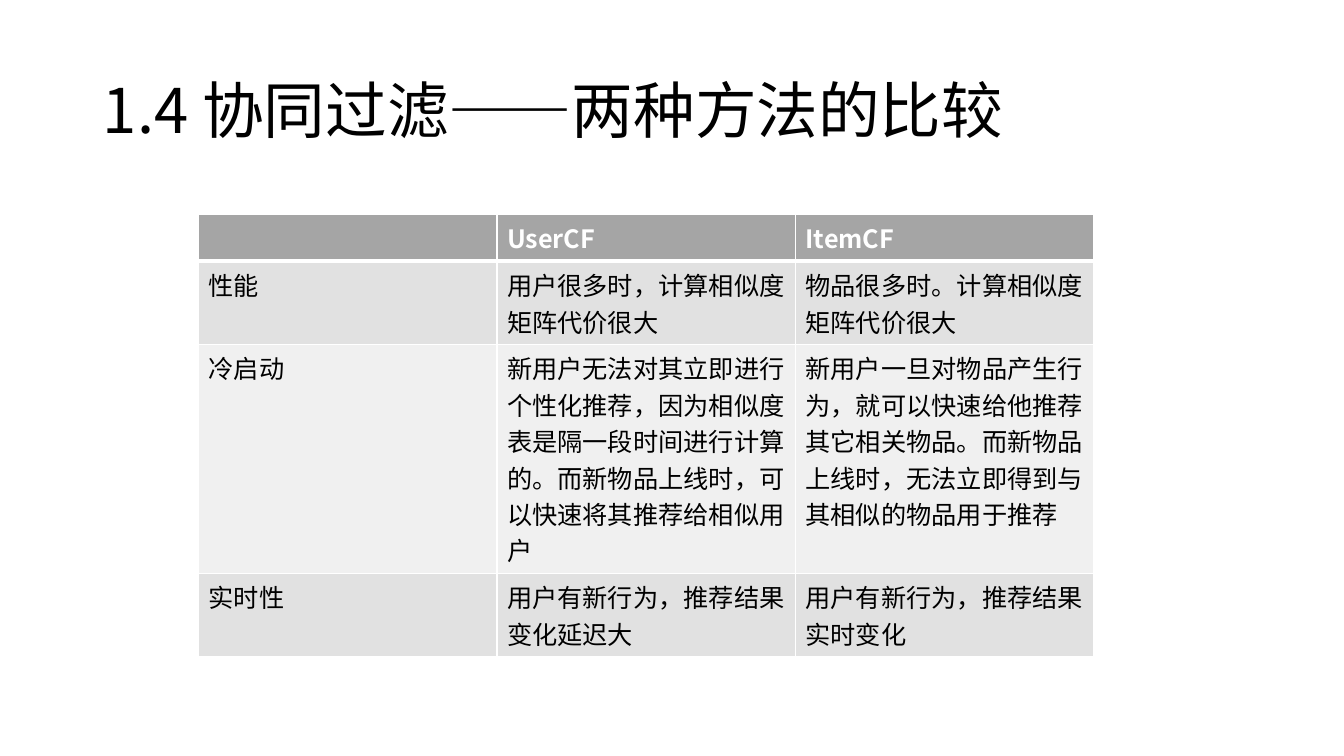
from dataclasses import dataclass

from lxml import etree
from pptx import Presentation
from pptx.dml.color import RGBColor
from pptx.enum.text import MSO_ANCHOR, PP_ALIGN
from pptx.oxml.ns import qn
from pptx.util import Pt

LEFT, MIDDLE = PP_ALIGN.LEFT, MSO_ANCHOR.MIDDLE
EMU_PER_PX = 9144  # 100 px to the inch
TITLE_ONLY = 5


@dataclass(frozen=True)
class Theme:
    font: str = "Noto Sans CJK SC"
    title_size: int = 44
    table_size: int = 18
    text: str = "000000"
    header_text: str = "FFFFFF"
    header_fill: str = "A5A5A5"
    bands: tuple = ("E1E1E1", "F0F0F0")
    border: str = "FFFFFF"
    border_width: int = 1
    header_rule: int = 3


def px(n):
    return n * EMU_PER_PX


class Deck:
    def __init__(self, theme, width, height):
        self.theme = theme
        self.prs = Presentation()
        self.prs.slide_width, self.prs.slide_height = px(width), px(height)
        self.s = self.prs.slides.add_slide(self.prs.slide_layouts[TITLE_ONLY])

    def style(self, p, size, color, bold=False):
        p.alignment = LEFT
        for r in p.runs:
            r.font.name = self.theme.font
            r.font.size, r.font.bold = Pt(size), bold
            r.font.color.rgb = RGBColor.from_string(color)
            ea = etree.SubElement(r.font._element, qn("a:ea"))
            ea.set("typeface", self.theme.font)

    def title(self, text, x, y, w, h):
        sp = self.s.shapes.title
        sp.left, sp.top, sp.width, sp.height = map(px, (x, y, w, h))
        tf = sp.text_frame
        tf.text = text
        tf.word_wrap, tf.vertical_anchor = True, MIDDLE
        p = tf.paragraphs[0]
        p.line_spacing = 0.9
        self.style(p, self.theme.title_size, self.theme.text)

    def borders(self, cell, widths):
        """Draw the cell's sides; widths maps L, R, T and B to points."""
        tc_pr = cell._tc.get_or_add_tcPr()
        for side, width in widths.items():
            ln = etree.SubElement(tc_pr, qn(f"a:ln{side}"), w=str(Pt(width)))
            fill = etree.SubElement(ln, qn("a:solidFill"))
            etree.SubElement(fill, qn("a:srgbClr"), val=self.theme.border)

    def table(self, rows, x, y, col_width, row_height):
        t = self.theme
        n_rows, n_cols = len(rows), len(rows[0])
        table = self.s.shapes.add_table(
            n_rows, n_cols, px(x), px(y),
            px(col_width * n_cols), px(row_height * n_rows)).table
        for i, row in enumerate(rows):
            header = i == 0
            fill = t.header_fill if header else t.bands[(i - 1) % 2]
            color = t.header_text if header else t.text
            widths = dict.fromkeys("LRTB", t.border_width)
            if header:
                widths["B"] = t.header_rule
            elif i == 1:
                widths["T"] = t.header_rule
            for j, text in enumerate(row):
                cell = table.cell(i, j)
                self.borders(cell, widths)
                cell.fill.solid()
                cell.fill.fore_color.rgb = RGBColor.from_string(fill)
                cell.text_frame.text = text
                p = cell.text_frame.paragraphs[0]
                p.font.size = Pt(t.table_size)
                self.style(p, t.table_size, color, bold=header)


ROWS = [
    ("", "UserCF", "ItemCF"),
    ("性能", "用户很多时，计算相似度矩阵代价很大",
     "物品很多时。计算相似度矩阵代价很大"),
    ("冷启动",
     "新用户无法对其立即进行个性化推荐，因为相似度表是隔一段时间进行计算的。"
     "而新物品上线时，可以快速将其推荐给相似用户",
     "新用户一旦对物品产生行为，就可以快速给他推荐其它相关物品。"
     "而新物品上线时，无法立即得到与其相似的物品用于推荐"),
    ("实时性", "用户有新行为，推荐结果变化延迟大",
     "用户有新行为，推荐结果实时变化"),
]


def main():
    deck = Deck(Theme(), 1333, 750)
    deck.title("1.4 协同过滤——两种方法的比较", 92, 40, 1150, 145)
    deck.table(ROWS, 197, 213, col_width=296, row_height=41)
    deck.prs.save("out.pptx")


if __name__ == "__main__":
    main()
